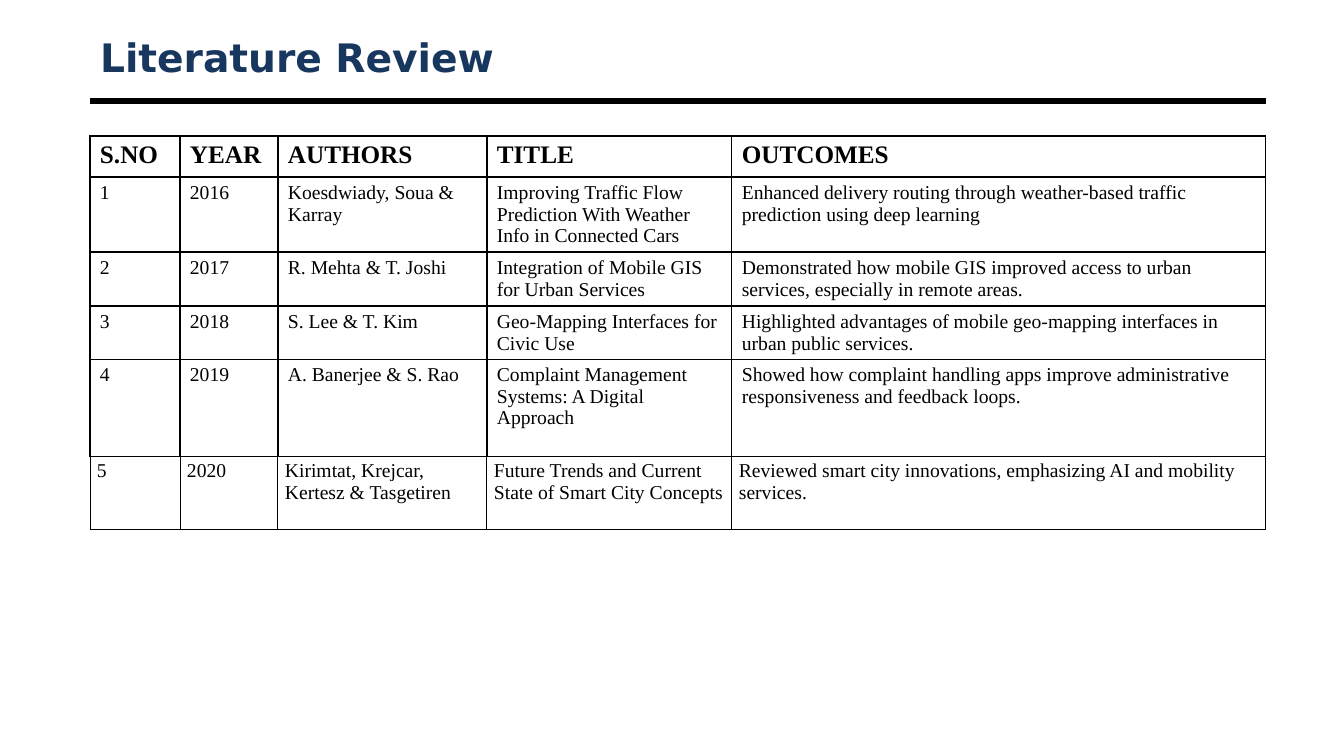
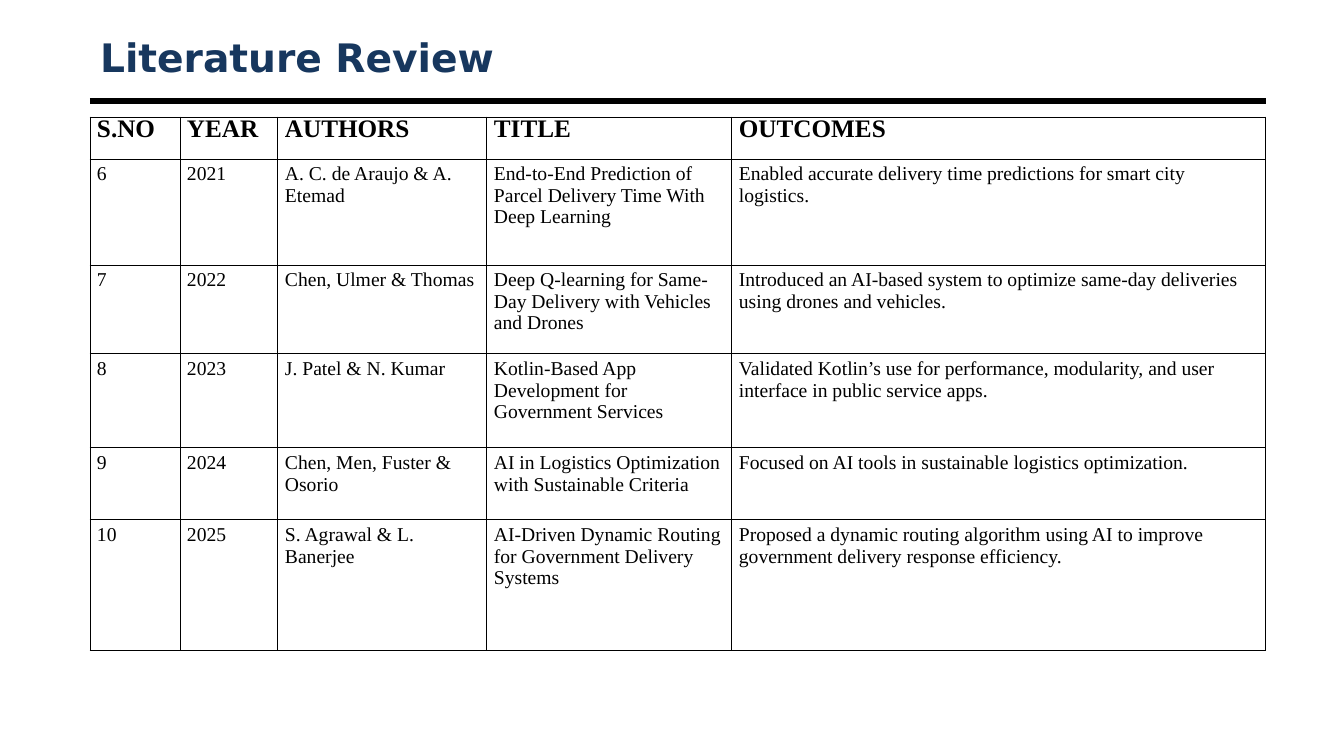
from lxml import etree
from pptx import Presentation
from pptx.dml.color import RGBColor
from pptx.enum.shapes import MSO_CONNECTOR
from pptx.enum.text import MSO_ANCHOR, PP_ALIGN
from pptx.oxml.ns import qn
from pptx.util import Pt

PX = 914400 / 100.8
BLACK, WHITE, NAVY = "000000", "FFFFFF", "17375E"
TITLE_FONT, TABLE_FONT = "DejaVu Sans", "Times New Roman"
LEFT, WIDTH = 90, 1176
COLUMN_WIDTHS = [90, 98, 209, 245, 534]
HEADINGS = ["S.NO", "YEAR", "AUTHORS", "TITLE", "OUTCOMES"]
THICK, THIN = 1, 0.75
WIDE_MARGINS, NARROW_MARGINS = (10, 5), (7, 4)


def px(*lengths):
    return [round(length * PX) for length in lengths]


def style_font(font, name, size, bold, colour):
    font.name, font.size, font.bold = name, Pt(size), bold
    font.color.rgb = RGBColor.from_string(colour)


# Each row style is (margins, border width in points)
roomy, compact = (WIDE_MARGINS, THICK), (NARROW_MARGINS, THIN)
pages = [
    {
        "top": 136,
        "heights": [41, 75, 54, 53, 97, 73],
        "styles": [roomy] * 5 + [compact],
        "heading_spacing": None,
        "papers": [
            ("1", "2016", "Koesdwiady, Soua & Karray",
             "Improving Traffic Flow Prediction With Weather Info in Connected Cars",
             "Enhanced delivery routing through weather-based traffic prediction using deep learning"),
            ("2", "2017", "R. Mehta & T. Joshi",
             "Integration of Mobile GIS for Urban Services",
             "Demonstrated how mobile GIS improved access to urban services, especially in remote areas."),
            ("3", "2018", "S. Lee & T. Kim",
             "Geo-Mapping Interfaces for Civic Use",
             "Highlighted advantages of mobile geo-mapping interfaces in urban public services."),
            ("4", "2019", "A. Banerjee & S. Rao",
             "Complaint Management Systems: A Digital Approach",
             "Showed how complaint handling apps improve administrative responsiveness and feedback loops."),
            ("5", "2020", "Kirimtat, Krejcar, Kertesz & Tasgetiren",
             "Future Trends and Current State of Smart City Concepts",
             "Reviewed smart city innovations, emphasizing AI and mobility services."),
        ],
    },
    {
        "top": 117,
        "heights": [42, 106, 89, 94, 72, 131],
        "styles": [compact] * 6,
        "heading_spacing": Pt(15.8),
        "papers": [
            ("6", "2021", "A. C. de Araujo & A. Etemad",
             "End-to-End Prediction of Parcel Delivery Time With Deep Learning",
             "Enabled accurate delivery time predictions for smart city logistics."),
            ("7", "2022", "Chen, Ulmer & Thomas",
             "Deep Q-learning for Same-Day Delivery with Vehicles and Drones",
             "Introduced an AI-based system to optimize same-day deliveries using drones and vehicles."),
            ("8", "2023", "J. Patel & N. Kumar",
             "Kotlin-Based App Development for Government Services",
             "Validated Kotlin’s use for performance, modularity, and user interface in public service apps."),
            ("9", "2024", "Chen, Men, Fuster & Osorio",
             "AI in Logistics Optimization with Sustainable Criteria",
             "Focused on AI tools in sustainable logistics optimization."),
            ("10", "2025", "S. Agrawal & L. Banerjee",
             "AI-Driven Dynamic Routing for Government Delivery Systems",
             "Proposed a dynamic routing algorithm using AI to improve government delivery response efficiency."),
        ],
    },
]

prs = Presentation()
prs.slide_width, prs.slide_height = px(1344, 756)
title_only = prs.slide_layouts[5]

for page in pages:
    slide = prs.slides.add_slide(title_only)

    title = slide.shapes.title
    title.left, title.top, title.width, title.height = px(LEFT, 30, WIDTH, 53)
    title.text_frame.text = "Literature Review"
    title.text_frame.vertical_anchor = MSO_ANCHOR.MIDDLE
    heading = title.text_frame.paragraphs[0]
    heading.alignment = PP_ALIGN.LEFT
    style_font(heading.font, TITLE_FONT, 28, True, NAVY)

    rule = slide.shapes.add_connector(
        MSO_CONNECTOR.STRAIGHT, *px(LEFT, 101, LEFT + WIDTH, 101))
    rule.line.width = Pt(4.5)
    rule.line.color.rgb = RGBColor.from_string(BLACK)
    etree.SubElement(rule._element.spPr, qn("a:effectLst"))

    rows = [HEADINGS, *page["papers"]]
    review = slide.shapes.add_table(
        len(rows), len(HEADINGS),
        *px(LEFT, page["top"], WIDTH, sum(page["heights"]))).table
    review.first_row = review.horz_banding = False
    for column, width in zip(review.columns, px(*COLUMN_WIDTHS)):
        column.width = width
    for row, height in zip(review.rows, px(*page["heights"])):
        row.height = height

    for r, (texts, (margins, border)) in enumerate(zip(rows, page["styles"])):
        is_heading = r == 0
        top_border = page["styles"][max(r - 1, 0)][1]
        side, end = px(*margins)
        for c, text in enumerate(texts):
            cell = review.cell(r, c)
            cell.text = text
            cell.margin_left = cell.margin_right = side
            cell.margin_top = cell.margin_bottom = end
            cell.fill.solid()
            cell.fill.fore_color.rgb = RGBColor.from_string(WHITE)
            paragraph = cell.text_frame.paragraphs[0]
            style_font(paragraph.font, TABLE_FONT, 18 if is_heading else 14, is_heading, BLACK)
            if is_heading:
                paragraph.line_spacing = page["heading_spacing"]

            edges = [("a:lnL", border), ("a:lnR", border), ("a:lnT", top_border), ("a:lnB", border)]
            for position, (tag, points) in enumerate(edges):
                edge = etree.Element(qn(tag), w=str(Pt(points)))
                ink = etree.SubElement(edge, qn("a:solidFill"))
                etree.SubElement(ink, qn("a:srgbClr"), val=BLACK)
                cell._tc.tcPr.insert(position, edge)

prs.save("out.pptx")
